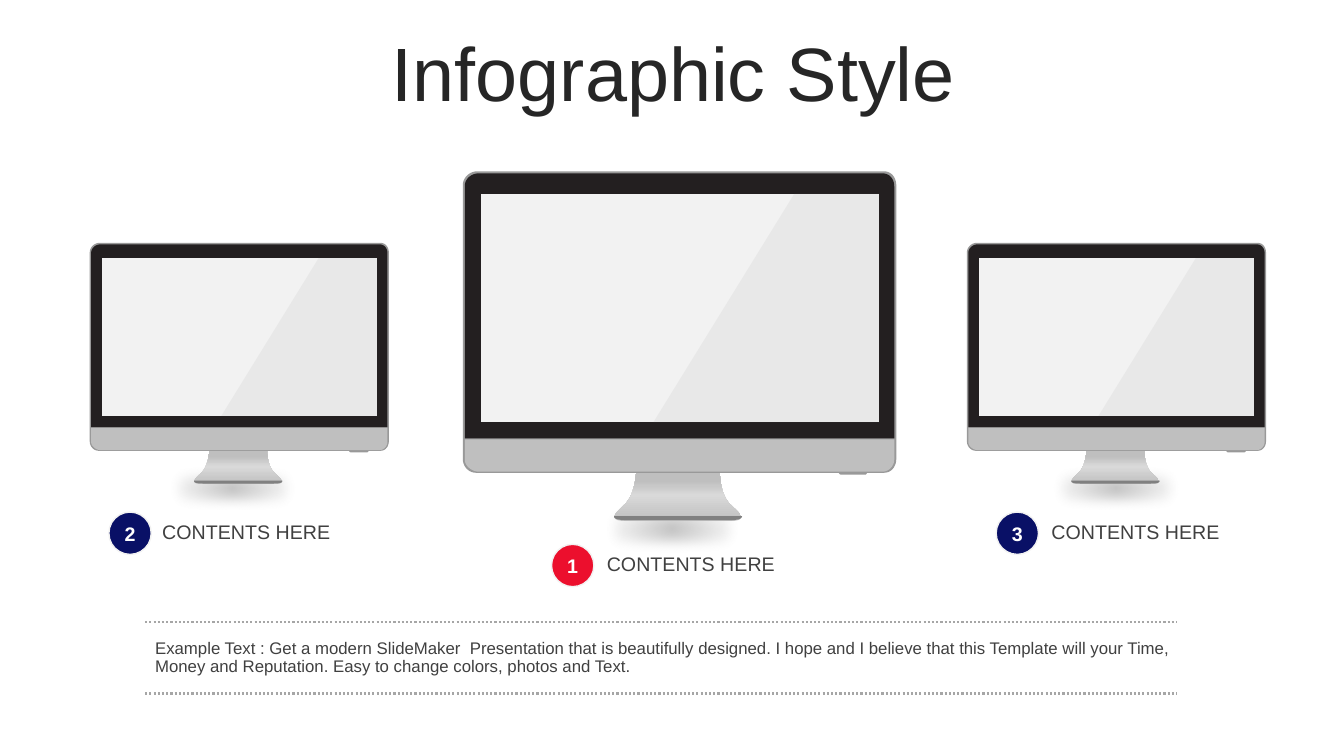
"""Build a slide with three desktop monitors and numbered captions."""
import pptx
import pptx.dml.color
import pptx.enum.dml
import pptx.enum.shapes
import pptx.enum.text
import pptx.oxml
import pptx.oxml.ns
import pptx.util
from lxml import etree

Inches = pptx.util.Inches
Pt = pptx.util.Pt
qn = pptx.oxml.ns.qn
rgb = pptx.dml.color.RGBColor.from_string
ALIGN = pptx.enum.text.PP_ALIGN
OVAL = pptx.enum.shapes.MSO_SHAPE.OVAL

COLORS = {
    "title": "262626", "text": "404040", "white": "FFFFFF", "rim": "F2F2F2",
    "navy": "091066", "red": "EC0F2D", "rule": "A6A6A6", "shade": "808080",
    "case": "999999", "bezel": "231F20", "foot": "808080", "chin": "BFBFBF",
    "screen": "F2F2F2", "glare": "999999", "button": "999999",
    "metal": "BFBFBF", "shine": "D9D9D9",
}


def write(box, text, size, color, align=ALIGN.LEFT, bold=False, spacing=0.9, inset=0.1):
    """Put one formatted paragraph into a shape."""
    frame = box.text_frame
    frame.word_wrap = True
    frame.vertical_anchor = pptx.enum.text.MSO_ANCHOR.MIDDLE
    frame.margin_left = frame.margin_right = Inches(inset)
    frame.margin_top = frame.margin_bottom = Inches(inset / 2)
    para = frame.paragraphs[0]
    para.alignment = align
    para.line_spacing = spacing
    span = para.add_run()
    span.text = text
    span.font.name = "Arial"
    span.font.size = Pt(size)
    span.font.bold = bold
    span.font.color.rgb = rgb(COLORS[color])


def blend(shape, stops, direction):
    """Fill a shape with gradient stops of (percent, color, opacity)."""
    shape.fill.gradient()
    gradient = shape.fill._xPr.find(qn("a:gradFill"))
    for child in list(gradient):
        gradient.remove(child)
    stop_list = etree.SubElement(gradient, qn("a:gsLst"))
    for percent, color, opacity in stops:
        stop = etree.SubElement(stop_list, qn("a:gs"), pos=str(percent * 1000))
        tint = etree.SubElement(stop, qn("a:srgbClr"), val=COLORS[color])
        etree.SubElement(tint, qn("a:alpha"), val=str(opacity * 1000))
    gradient.append(pptx.oxml.parse_xml(direction))


NAMESPACE = 'xmlns:a="http://schemas.openxmlformats.org/drawingml/2006/main"'
UPWARD = f'<a:lin {NAMESPACE} ang="16200000" scaled="0"/>'
RADIAL = (f'<a:path {NAMESPACE} path="circle">'
          '<a:fillToRect l="50000" t="50000" r="50000" b="50000"/></a:path>')
SHADE_STOPS = [(0, "shade", 45), (30, "shade", 0), (100, "shade", 0)]
STAND_STOPS = [(0, "metal", 100), (53, "shine", 100), (83, "metal", 100), (100, "metal", 100)]

# Each outline is a start point, then lines (x, y) and curves (two controls, end).
MONITOR = {
    "stand": [(2.64, 3.29), (2.55, 3.19, 2.55, 2.99, 2.55, 2.99), (1.72, 2.99),
              (1.72, 2.99, 1.71, 3.19, 1.62, 3.29), (1.53, 3.38, 1.4, 3.47, 1.64, 3.47),
              (2.63, 3.47), (2.87, 3.47, 2.73, 3.38, 2.64, 3.29)],
    "case": [(4.18, 0), (0.14, 0), (0.07, 0, 0, 0.06, 0, 0.14), (0, 2.85),
             (0, 2.93, 0.06, 2.99, 0.13, 2.99), (4.18, 2.99),
             (4.25, 2.99, 4.3, 2.93, 4.3, 2.85), (4.3, 0.14),
             (4.3, 0.06, 4.25, 0, 4.18, 0)],
    "button": [(3.73, 2.98), (3.73, 2.98, 3.72, 3, 3.75, 3.01), (3.99, 3.01),
               (3.99, 3.01, 4.01, 3.01, 4.01, 2.98)],
    "bezel": [(4.16, 0.02), (0.16, 0.02), (0.09, 0.02, 0.02, 0.07, 0.02, 0.15),
              (0.02, 2.65), (4.28, 2.65), (4.28, 0.15),
              (4.28, 0.07, 4.23, 0.02, 4.16, 0.02)],
    "foot": [(1.5, 3.42), (1.5, 3.45, 1.54, 3.46, 1.64, 3.46), (2.63, 3.46),
             (2.73, 3.46, 2.77, 3.45, 2.77, 3.42)],
    "chin": [(0.02, 2.86), (0.02, 2.92, 0.09, 2.98, 0.16, 2.98), (4.16, 2.98),
             (4.23, 2.98, 4.28, 2.92, 4.28, 2.86), (4.28, 2.66), (0.02, 2.66)],
    "screen": [(0.18, 0.22), (4.13, 0.22), (4.13, 2.49), (0.18, 2.49)],
    "glare": [(3.29, 0.22), (4.13, 0.22), (4.13, 2.49), (1.89, 2.49)],
}
CURVE_STEPS = 10

deck = pptx.Presentation()
deck.slide_width = Inches(13.33)
deck.slide_height = Inches(7.5)
page = deck.slides.add_slide(deck.slide_layouts[6])

for left, top, width, height in [(0, 4.61, 4.61, 0.47), (8.76, 4.61, 4.61, 0.47),
                                 (4.24, 5, 4.85, 0.49)]:
    shade = page.shapes.add_shape(OVAL, Inches(left), Inches(top), Inches(width), Inches(height))
    shade.shadow.inherit = False
    shade.line.fill.background()
    blend(shade, SHADE_STOPS, RADIAL)
    effects = shade._element.spPr.find(qn("a:effectLst"))
    etree.SubElement(effects, qn("a:softEdge"), rad=str(Inches(0.12)))

for left, top, scale in [(4.59, 1.7, 1), (0.89, 2.41, 0.69), (9.59, 2.41, 0.69)]:
    monitor = page.shapes.add_group_shape()
    for part, outline in MONITOR.items():
        points = [outline[0]]
        for step in outline[1:]:
            if len(step) == 2:
                points.append(step)
                continue
            corners = [points[-1], step[:2], step[2:4], step[4:]]
            for count in range(1, CURVE_STEPS + 1):
                t = count / CURVE_STEPS
                weights = [(1 - t) ** 3, 3 * t * (1 - t) ** 2, 3 * t ** 2 * (1 - t), t ** 3]
                points.append(tuple(sum(weight * corner[axis] for weight, corner
                                        in zip(weights, corners)) for axis in (0, 1)))
        placed = [(Inches(left + scale * x), Inches(top + scale * y)) for x, y in points]
        builder = monitor.shapes.build_freeform(*placed[0])
        builder.add_line_segments(placed[1:], close=True)
        piece = builder.convert_to_shape()
        piece.shadow.inherit = False
        piece.line.fill.background()
        if part == "stand":
            blend(piece, STAND_STOPS, UPWARD)
            continue
        piece.fill.solid()
        piece.fill.fore_color.rgb = rgb(COLORS[part])
        if part == "glare":
            tint = piece._element.spPr.find(qn("a:solidFill"))[0]
            etree.SubElement(tint, qn("a:alpha"), val="10000")

title = page.shapes.add_textbox(Inches(0.35), Inches(0.37), Inches(12.66), Inches(0.79))
write(title, "Infographic Style", 54, "title", align=ALIGN.CENTER)

for number, color, left, top, caption_left in [("2", "navy", 1.08, 5.08, 1.51),
                                               ("1", "red", 5.47, 5.4, 5.92),
                                               ("3", "navy", 9.88, 5.08, 10.33)]:
    badge = page.shapes.add_shape(OVAL, Inches(left), Inches(top), Inches(0.42), Inches(0.42))
    badge.shadow.inherit = False
    badge.fill.solid()
    badge.fill.fore_color.rgb = rgb(COLORS[color])
    badge.line.color.rgb = rgb(COLORS["rim"])
    badge.line.width = Pt(1)
    write(badge, number, 14, "white", align=ALIGN.CENTER, bold=True, spacing=1.0, inset=0)
    caption = page.shapes.add_textbox(Inches(caption_left), Inches(top + 0.01),
                                      Inches(2.01), Inches(0.39))
    write(caption, "CONTENTS HERE", 14, "text")

for height in (6.17, 6.88):
    rule = page.shapes.add_connector(pptx.enum.shapes.MSO_CONNECTOR.STRAIGHT, Inches(1.44),
                                     Inches(height), Inches(11.67), Inches(height))
    rule.line.color.rgb = rgb(COLORS["rule"])
    rule.line.width = Pt(1.5)
    rule.line.dash_style = pptx.enum.dml.MSO_LINE.ROUND_DOT
    etree.SubElement(rule._element.spPr, qn("a:effectLst"))

note = page.shapes.add_textbox(Inches(1.44), Inches(6.26), Inches(10.53), Inches(0.54))
write(note, "Example Text : Get a modern SlideMaker  Presentation that is beautifully designed. "
      "I hope and I believe that this Template will your Time, Money and Reputation. "
      "Easy to change colors, photos and Text.", 12, "text")

deck.save("out.pptx")
